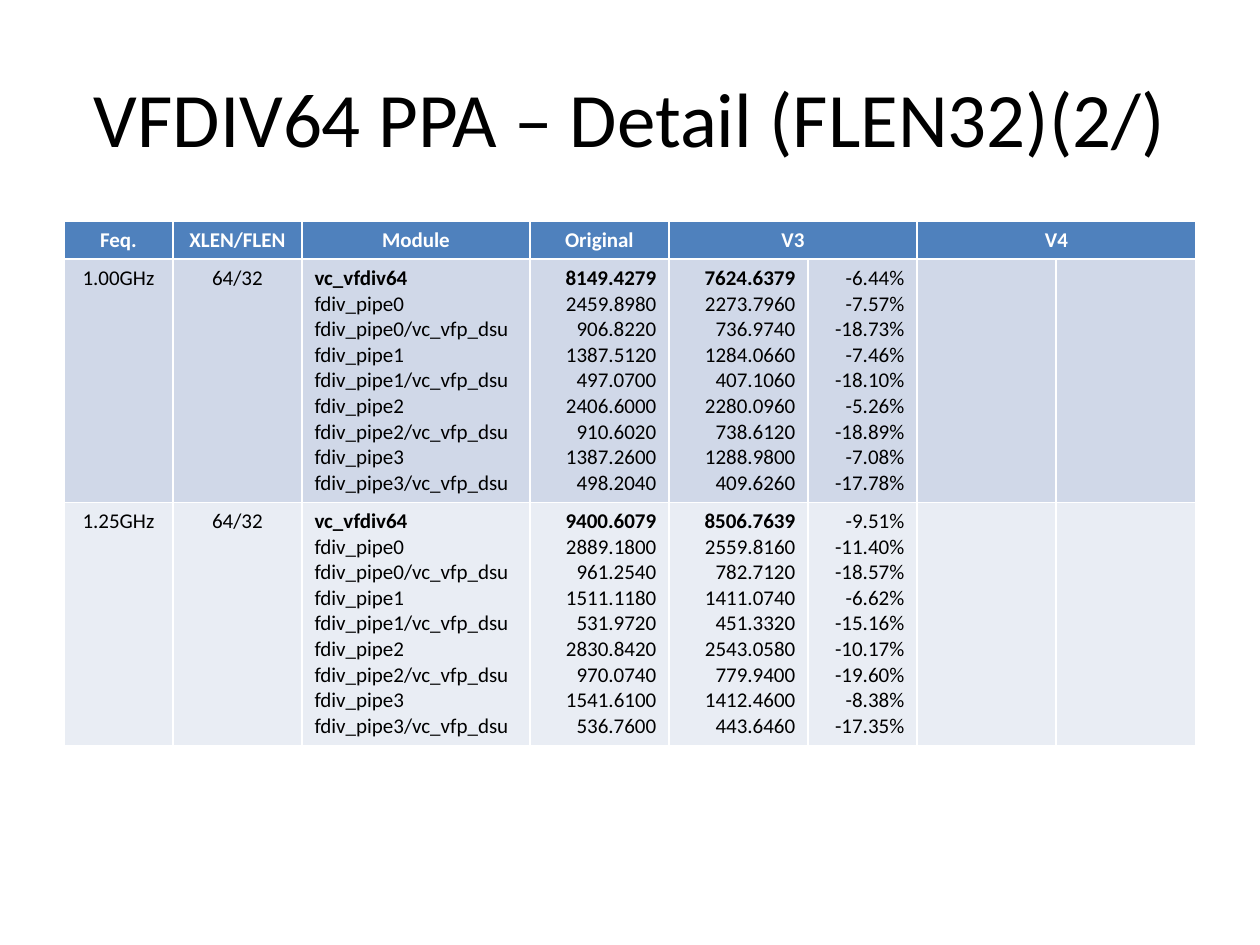
import dataclasses

import pptx
import pptx.dml.color
import pptx.enum.text
import pptx.util

ALIGN = pptx.enum.text.PP_ALIGN
SCALE = 914400 / 126


def px(count):
    return pptx.util.Emu(round(count * SCALE))


@dataclasses.dataclass(frozen=True)
class Theme:
    font: str = "Calibri"
    title: int = 44
    body: int = 12
    ink: str = "000000"
    light: str = "FFFFFF"
    head: str = "4F81BD"
    bands: tuple = ("D0D8E8", "E9EDF4")


class Deck:
    """Holds the theme and the current slide."""

    def __init__(self, theme, wide, high):
        self.theme = theme
        self.file = pptx.Presentation()
        self.file.slide_width, self.file.slide_height = px(wide), px(high)
        self.slide = self.file.slides.add_slide(self.file.slide_layouts[5])

    def style(self, para, size, ink, align, bold=False):
        para.alignment = align
        for run in para.runs:
            run.font.name = self.theme.font
            run.font.size = pptx.util.Pt(size)
            run.font.bold = bold
            run.font.color.rgb = pptx.dml.color.RGBColor.from_string(ink)

    def title(self, text, left, top, wide, high):
        shape = self.slide.shapes.title
        shape.left, shape.top = px(left), px(top)
        shape.width, shape.height = px(wide), px(high)
        frame = shape.text_frame
        frame.text = text
        frame.vertical_anchor = pptx.enum.text.MSO_ANCHOR.MIDDLE
        self.style(frame.paragraphs[0], self.theme.title, self.theme.ink, ALIGN.CENTER)

    def table(self, left, top, cols, rows):
        frame = self.slide.shapes.add_table(
            len(rows), len(cols), px(left), px(top), px(sum(cols)), px(sum(rows)))
        table = frame.table
        for col, wide in zip(table.columns, cols):
            col.width = px(wide)
        for row, high in zip(table.rows, rows):
            row.height = px(high)
        return table

    def cell(self, cell, lines, fill, ink, align, bold=0):
        """Fill a cell with lines, the first `bold` of them in bold."""
        cell.fill.solid()
        cell.fill.fore_color.rgb = pptx.dml.color.RGBColor.from_string(fill)
        cell.text_frame.text = "\n".join(lines)
        for spot, para in enumerate(cell.text_frame.paragraphs):
            self.style(para, self.theme.body, ink, align, spot < bold)


HEADS = ["Feq.", "XLEN/FLEN", "Module", "Original", "V3", "", "V4", ""]
PAIRS = [(4, 5), (6, 7)]
ALIGNS = [ALIGN.CENTER] * 2 + [ALIGN.LEFT] + [ALIGN.RIGHT] * 5
BOLDS = [0, 0, 1, 1, 1, 0, 0, 0]
COLS = [109, 129, 228, 139, 139, 109, 139, 140]
ROWS = [38, 239, 239]

MODULES = ["vc_vfdiv64"]
for pipe in range(4):
    MODULES += [f"fdiv_pipe{pipe}", f"fdiv_pipe{pipe}/vc_vfp_dsu"]

# Frequency, original areas, V3 areas
RUNS = [
    ("1.00GHz",
     [8149.4279, 2459.8980, 906.8220, 1387.5120, 497.0700,
      2406.6000, 910.6020, 1387.2600, 498.2040],
     [7624.6379, 2273.7960, 736.9740, 1284.0660, 407.1060,
      2280.0960, 738.6120, 1288.9800, 409.6260]),
    ("1.25GHz",
     [9400.6079, 2889.1800, 961.2540, 1511.1180, 531.9720,
      2830.8420, 970.0740, 1541.6100, 536.7600],
     [8506.7639, 2559.8160, 782.7120, 1411.0740, 451.3320,
      2543.0580, 779.9400, 1412.4600, 443.6460]),
]


def areas(values):
    return [f"{value:.4f}" for value in values]


def main():
    theme = Theme()
    deck = Deck(theme, 1260, 945)
    deck.title("VFDIV64 PPA – Detail (FLEN32)(2/)", 63, 38, 1134, 157)
    table = deck.table(64, 221, COLS, ROWS)

    for col, head in enumerate(HEADS):
        deck.cell(table.cell(0, col), [head], theme.head, theme.light, ALIGN.CENTER, 1)
    for first, last in PAIRS:
        table.cell(0, first).merge(table.cell(0, last))

    for row, (freq, old, new) in enumerate(RUNS, 1):
        change = [f"{after / before - 1:.2%}" for before, after in zip(old, new)]
        cells = [[freq], ["64/32"], MODULES, areas(old), areas(new), change, [], []]
        for col, lines in enumerate(cells):
            deck.cell(table.cell(row, col), lines, theme.bands[row - 1],
                      theme.ink, ALIGNS[col], BOLDS[col])

    deck.file.save("out.pptx")


if __name__ == "__main__":
    main()
